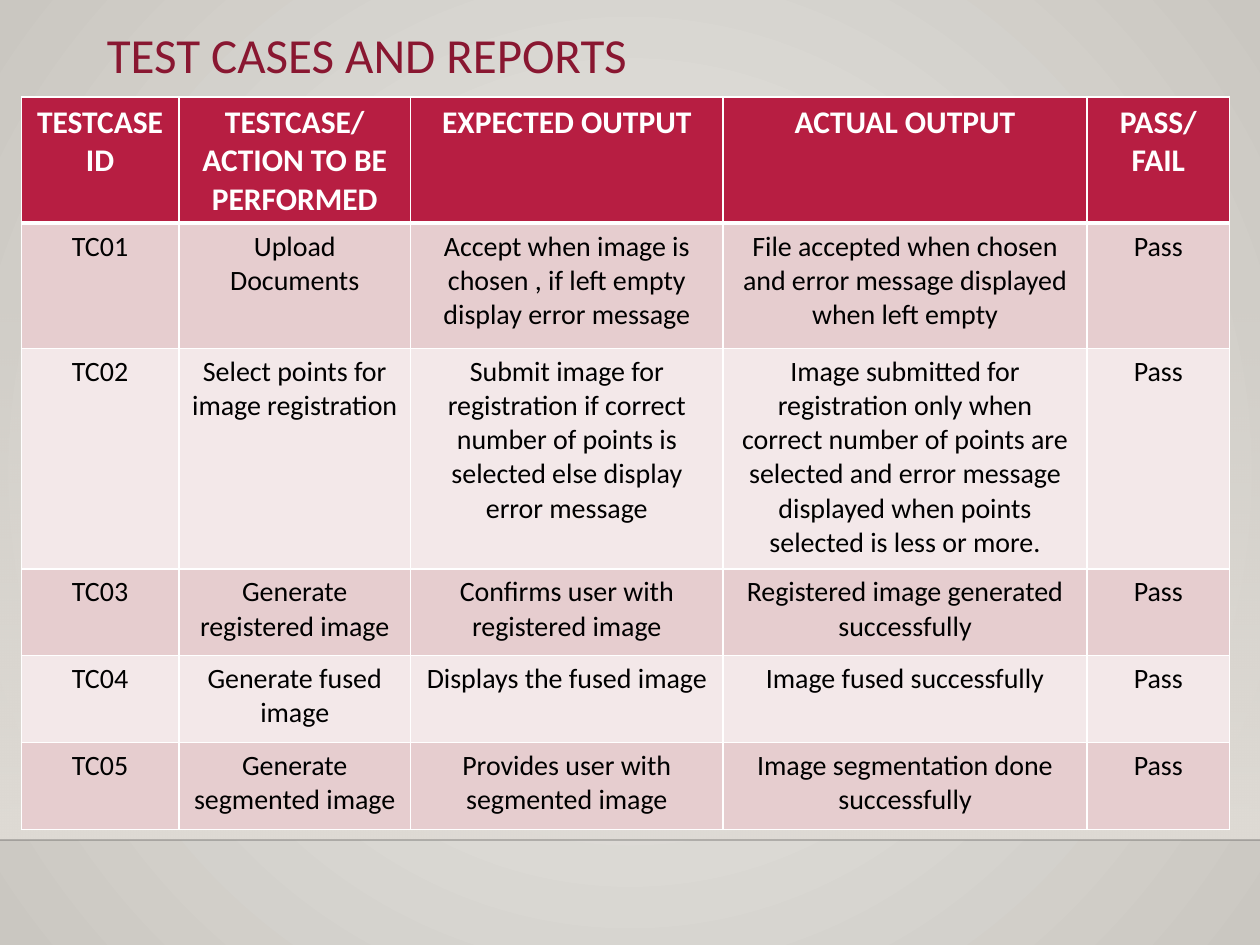
"""Build the slide of test cases and their results."""
from typing import NamedTuple

from lxml.etree import SubElement
from pptx import Presentation
from pptx.dml.color import RGBColor
from pptx.enum.shapes import MSO_CONNECTOR, MSO_SHAPE
from pptx.enum.text import MSO_ANCHOR, PP_ALIGN
from pptx.oxml.ns import qn
from pptx.util import Pt

FONT = "Calibri"
CRIMSON, WHITE, BLACK, SAND = "B71E42", "FFFFFF", "000000", "DFDBD5"
BAND_FILLS = ("E6CDCF", "F3E8E9")
COLUMN_WIDTHS = (90, 132.5, 178.5, 208, 81.5)
HEADINGS = ("TESTCASE ID", "TESTCASE/ ACTION TO BE PERFORMED",
            "EXPECTED OUTPUT", "ACTUAL OUTPUT", "PASS/ FAIL")
HEADER_HEIGHT = 71.5


class TestCase(NamedTuple):
    """One row of the test report."""
    height: float
    action: str
    expected: str
    actual: str


TEST_CASES = (
    TestCase(71.5, "Upload Documents",
             "Accept when image is chosen , if left empty display error message",
             "File accepted when chosen and error message displayed when left empty"),
    TestCase(126, "Select points for image registration",
             "Submit image for registration if correct number of points is "
             "selected else display error message",
             "Image submitted for registration only when correct number of points are "
             "selected and error message displayed when points selected is less or more."),
    TestCase(49.7, "Generate registered image", "Confirms user with registered image",
             "Registered image generated successfully"),
    TestCase(49.7, "Generate fused image", "Displays the fused image",
             "Image fused successfully"),
    TestCase(49.7, "Generate segmented image", "Provides user with segmented image",
             "Image segmentation done successfully"),
)


def color(value: str) -> RGBColor:
    """Turn a hex string into a colour."""
    return RGBColor.from_string(value)


def set_opacity(element, percent: int) -> None:
    """Set the opacity of the first colour inside an element."""
    first_color = next(element.iter(qn("a:srgbClr")))
    SubElement(first_color, qn("a:alpha"), val=str(percent * 1000))


def set_gradient(fill, start: str, end: str) -> None:
    """Give a fill a two-stop gradient running from top to bottom."""
    fill.gradient()
    fill.gradient_angle = 270
    for stop, value in zip(fill.gradient_stops, (start, end)):
        stop.color.rgb = color(value)


def draw_background(slide) -> None:
    """Draw the radial backdrop, the soft wall and the floor line."""
    set_gradient(slide.background.fill, "ECEAE7", "CAC7C1")
    gradient = next(slide._element.iter(qn("a:gradFill")))
    gradient.remove(gradient.find(qn("a:lin")))
    circle = SubElement(gradient, qn("a:path"), path="circle")
    SubElement(circle, qn("a:fillToRect"), l="50000", t="50000", r="50000", b="50000")

    wall = slide.shapes.add_shape(MSO_SHAPE.RECTANGLE, 0, Pt(158.4), Pt(720), Pt(321.6))
    wall.shadow.inherit = False
    wall.line.fill.background()
    set_gradient(wall.fill, SAND, SAND)
    set_opacity(wall._element, 0)

    floor = slide.shapes.add_connector(MSO_CONNECTOR.STRAIGHT, 0, Pt(480), Pt(720), Pt(480))
    floor.line.width = Pt(1)
    floor.line.color.rgb = color("000001")
    set_opacity(floor._element, 20)
    SubElement(floor._element.spPr, qn("a:effectLst"))


def draw_title(slide, text: str) -> None:
    """Write the slide title."""
    frame = slide.shapes.add_textbox(Pt(54), Pt(12), Pt(577.5), Pt(42)).text_frame
    frame.word_wrap = True
    frame.vertical_anchor = MSO_ANCHOR.MIDDLE
    paragraph = frame.paragraphs[0]
    paragraph.text = text
    paragraph.line_spacing = 0.9
    paragraph.font.name, paragraph.font.size = FONT, Pt(28)
    paragraph.font.color.rgb = color("891731")


def set_borders(cell, top: float, bottom: float) -> None:
    """Draw white cell borders with the given top and bottom widths."""
    properties = cell._tc.get_or_add_tcPr()
    widths = {"a:lnL": 1, "a:lnR": 1, "a:lnT": top, "a:lnB": bottom}
    for index, (tag, width) in enumerate(widths.items()):
        line = SubElement(properties, qn(tag), w=str(Pt(width)))
        SubElement(SubElement(line, qn("a:solidFill")), qn("a:srgbClr"), val=WHITE)
        properties.insert(index, line)


def write_cell(cell, text: str, row: int) -> None:
    """Write and style one cell according to its row."""
    is_header = row == 0
    cell.fill.solid()
    cell.fill.fore_color.rgb = color(CRIMSON if is_header else BAND_FILLS[(row - 1) % 2])
    set_borders(cell, top=3 if row == 1 else 1, bottom=3 if is_header else 1)
    paragraph = cell.text_frame.paragraphs[0]
    paragraph.text = text
    paragraph.alignment = PP_ALIGN.CENTER
    paragraph.font.name, paragraph.font.size = FONT, Pt(18 if is_header else 16)
    paragraph.font.bold = is_header
    paragraph.font.color.rgb = color(WHITE if is_header else BLACK)


def draw_report(slide) -> None:
    """Draw the table of test cases."""
    heights = [HEADER_HEIGHT, *(case.height for case in TEST_CASES)]
    rows = [HEADINGS, *((f"TC{number:02}", case.action, case.expected, case.actual, "Pass")
                        for number, case in enumerate(TEST_CASES, 1))]
    table = slide.shapes.add_table(len(rows), len(HEADINGS), Pt(12.2), Pt(55.5),
                                   Pt(sum(COLUMN_WIDTHS)), Pt(sum(heights))).table
    for column, width in zip(table.columns, COLUMN_WIDTHS):
        column.width = Pt(width)
    for row, (texts, height) in enumerate(zip(rows, heights)):
        table.rows[row].height = Pt(height)
        for column, text in enumerate(texts):
            write_cell(table.cell(row, column), text, row)


def main() -> None:
    """Build and save the presentation."""
    presentation = Presentation()
    presentation.slide_width, presentation.slide_height = Pt(720), Pt(540)
    slide = presentation.slides.add_slide(presentation.slide_layouts[6])
    draw_background(slide)
    draw_title(slide, "TEST CASES AND REPORTS")
    draw_report(slide)
    presentation.save("out.pptx")


if __name__ == "__main__":
    main()
